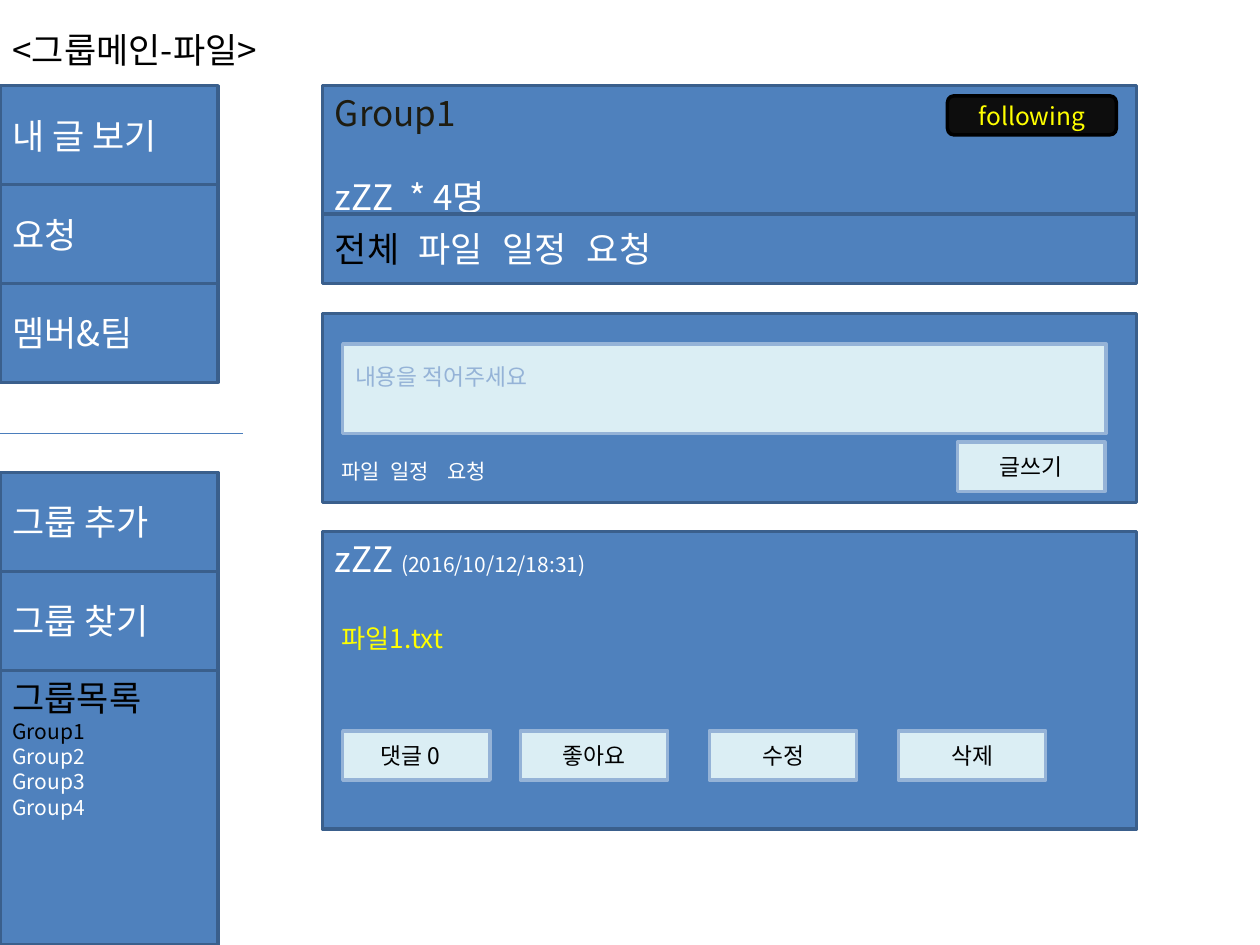
import collections
import pptx
import pptx.util
import pptx.dml.color
import pptx.enum.shapes
import pptx.enum.text
import pptx.oxml.ns
import lxml.etree

FONT = "Noto Sans CJK KR"
COLORS = {
    "panel": "4F81BD", "panel_edge": "3A5F8C", "divider": "4B7EBC",
    "field": "DBEEF4", "field_edge": "95B3D7", "badge": "0D0D0D",
    "black": "000000", "white": "FFFFFF", "yellow": "FFFF00", "brown": "1E1C11",
}
SHAPES = pptx.enum.shapes.MSO_SHAPE
ALIGN = pptx.enum.text.PP_ALIGN
ANCHOR = pptx.enum.text.MSO_ANCHOR

Box = collections.namedtuple("Box", "left top width height")

deck = pptx.Presentation()
deck.slide_width = pptx.util.Inches(10)
deck.slide_height = pptx.util.Inches(7.5)
slide = deck.slides.add_slide(deck.slide_layouts[6])
COLUMN = deck.slide_width / 100
ROW = deck.slide_height / 100


def rgb(name):
    return pptx.dml.color.RGBColor.from_string(COLORS[name])


def inside(box, left, top, width, height):
    return Box(box.left + left, box.top + top, width, height)


def grid(box):
    return [int(n) for n in (box.left * COLUMN, box.top * ROW,
                             box.width * COLUMN, box.height * ROW)]


def add_child(parent, tag, **attributes):
    return lxml.etree.SubElement(parent, pptx.oxml.ns.qn(tag), **attributes)


def set_frame(frame, anchor=ANCHOR.MIDDLE, left=0.1, top=0.05, right=0.1, bottom=0.05):
    frame.word_wrap = True
    frame.vertical_anchor = anchor
    frame.margin_left, frame.margin_top, frame.margin_right, frame.margin_bottom = (
        pptx.util.Inches(n) for n in (left, top, right, bottom))


def add_text(shape, text, size=20, color="white", align=ALIGN.LEFT,
             before=0, indent=0, tabs=(), joined=False):
    frame = shape.text_frame
    line = frame.paragraphs[-1]
    if line.runs and not joined:
        line = frame.add_paragraph()
    if not joined:
        line.alignment = align
        line.line_spacing = pptx.util.Pt(size * 1.2)
        if before:
            line.space_before = pptx.util.Pt(before)
        properties = line._p.get_or_add_pPr()
        if indent:
            properties.set("marL", str(pptx.util.Inches(indent)))
        if tabs:
            stops = add_child(properties, "a:tabLst")
            for stop in tabs:
                add_child(stops, "a:tab", pos=str(pptx.util.Inches(stop)), algn="l")
    run = line.add_run()
    run.text = text
    run.font.size = pptx.util.Pt(size)
    run.font.name = FONT
    run.font.color.rgb = rgb(color)
    add_child(run._r.get_or_add_rPr(), "a:ea", typeface=FONT)


def add_panel(box, fill="panel", edge="panel_edge", kind=SHAPES.RECTANGLE, **layout):
    panel = slide.shapes.add_shape(kind, *grid(box))
    panel.shadow.inherit = False
    panel.fill.solid()
    panel.fill.fore_color.rgb = rgb(fill)
    panel.line.color.rgb = rgb(edge)
    panel.line.width = pptx.util.Pt(2)
    set_frame(panel.text_frame, **layout)
    return panel


def add_button(box, label, **layout):
    button = add_panel(box, "field", "field_edge", **layout)
    add_text(button, label, size=13, color="black", align=ALIGN.CENTER)


def page_title(box):
    title = slide.shapes.add_textbox(*grid(box))
    set_frame(title.text_frame)
    add_text(title, "<그룹메인-파일>", color="black")


def menu(box, labels):
    height = box.height / len(labels)
    for row, label in enumerate(labels):
        add_text(add_panel(inside(box, 0, row * height, box.width, height)), label)


def divider(box):
    left, top, width, height = grid(box)
    rule = slide.shapes.add_connector(
        pptx.enum.shapes.MSO_CONNECTOR.STRAIGHT, left, top, left + width, top + height)
    rule.line.color.rgb = rgb("divider")
    rule.line.width = pptx.util.Pt(0.75)
    add_child(rule._element.spPr, "a:effectLst")


def group_list(box):
    groups = add_panel(box, anchor=ANCHOR.TOP)
    add_text(groups, "그룹목록", color="black")
    for number in range(1, 5):
        add_text(groups, f"Group{number}", size=12,
                 color="black" if number == 1 else "white")


def group_header(box, tab_height):
    header = add_panel(box._replace(height=box.height - tab_height), anchor=ANCHOR.TOP)
    add_text(header, "Group1", color="brown")
    add_text(header, "zZZ\t* 4명", before=24, tabs=[0.59])
    badge = add_panel(inside(box, 49.6, 1.07, 13.4, 4.13), "badge", "black",
                      SHAPES.ROUNDED_RECTANGLE)
    add_text(badge, "following", size=14, color="yellow", align=ALIGN.CENTER)
    tabs = add_panel(inside(box, 0, box.height - tab_height, box.width, tab_height))
    add_text(tabs, "전체", color="black", tabs=[0.66, 1.33, 2])
    add_text(tabs, "\t파일\t일정\t요청", joined=True)


def composer(box):
    form = add_panel(box, anchor=ANCHOR.BOTTOM, left=0.15, bottom=0.15)
    add_text(form, "파일\t일정\t요청", size=12, tabs=[0.39, 0.84])
    entry = add_panel(inside(box, 1.6, 3.2, 60.6, 9.47), "field", "field_edge",
                      anchor=ANCHOR.TOP, top=0.15)
    add_text(entry, "내용을 적어주세요", size=13, color="field_edge")
    add_button(inside(box, 50.4, 13.6, 11.7, 5.2), "글쓰기")


def post(box):
    card = add_panel(box, anchor=ANCHOR.TOP)
    add_text(card, "zZZ ")
    add_text(card, "(2016/10/12/18:31)", size=12, joined=True)
    add_text(card, "파일1.txt", size=15, color="yellow", before=24, indent=0.05)
    add_button(inside(box, 1.6, 21.07, 11.7, 5.2), "댓글 0", right=0.2)
    for column, label in enumerate(["좋아요", "수정", "삭제"]):
        add_button(inside(box, 15.7 + 15 * column, 21.07, 11.7, 5.2), label)


page_title(Box(0, 0, 90.9, 10.5))
menu(Box(0, 9.07, 17.3, 31.4), ["내 글 보기", "요청", "멤버&팀"])
divider(Box(0, 45.87, 19.3, 0))
menu(Box(0, 50, 17.3, 20.94), ["그룹 추가", "그룹 찾기"])
group_list(Box(0, 70.94, 17.3, 29.06))
group_header(Box(25.6, 9.07, 64.6, 20.93), tab_height=7.33)
composer(Box(25.6, 33.2, 64.6, 20))
post(Box(25.6, 56.27, 64.6, 31.47))
deck.save("out.pptx")
